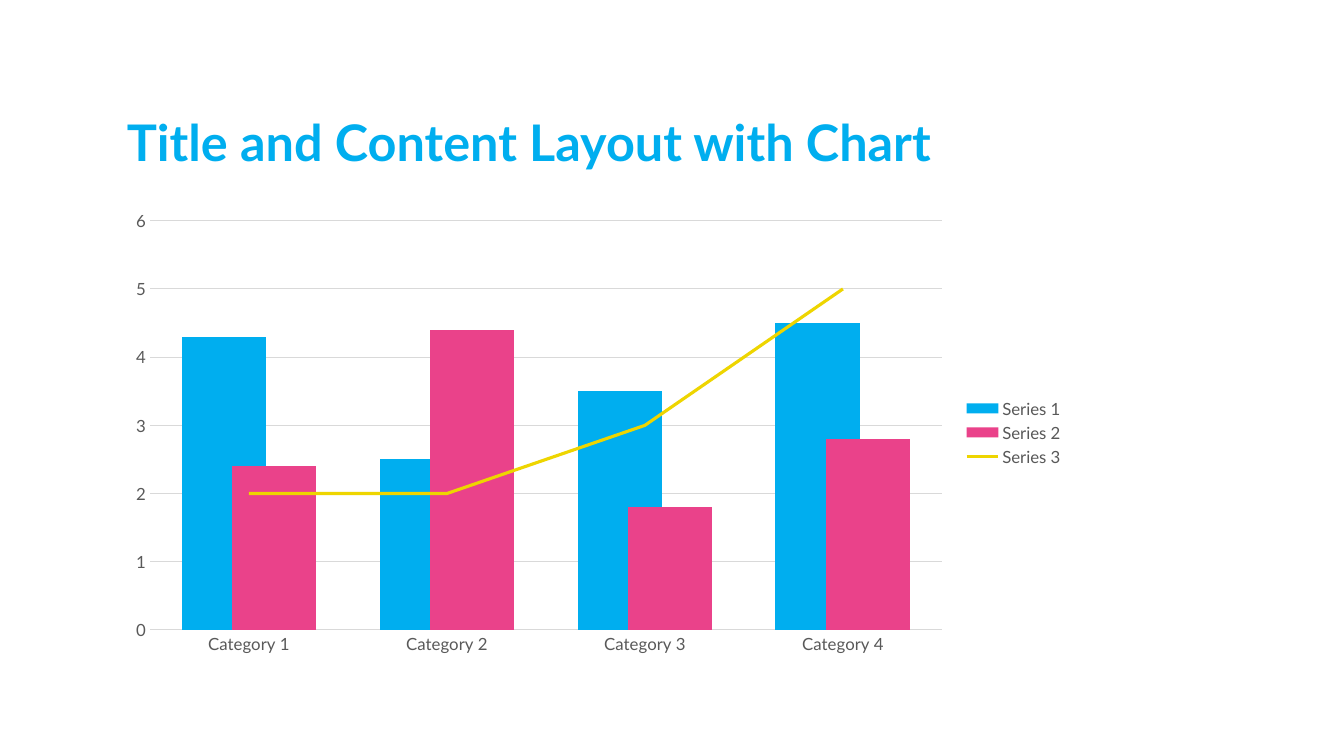
import lxml.etree
import pptx
import pptx.chart.data
import pptx.dml.color
import pptx.enum.chart
import pptx.enum.text
import pptx.oxml.ns
import pptx.util
from pptx.util import Cm

BLUE = pptx.dml.color.RGBColor(0x00, 0xAE, 0xEF)
PINK = pptx.dml.color.RGBColor(0xEA, 0x42, 0x8A)
YELLOW = pptx.dml.color.RGBColor(0xEE, 0xD5, 0x00)
LABEL_GRAY = pptx.dml.color.RGBColor(0x59, 0x59, 0x59)
GRID_GRAY = pptx.dml.color.RGBColor(0xD9, 0xD9, 0xD9)

CATEGORIES = ["Category 1", "Category 2", "Category 3", "Category 4"]
BARS = [
    ("Series 1", (4.3, 2.5, 3.5, 4.5), BLUE),
    ("Series 2", (2.4, 4.4, 1.8, 2.8), PINK),
]
TREND = ("Series 3", (2, 2, 3, 5), YELLOW)


class SlideBuilder:
    """Holds the slide and its text style."""

    def __init__(self, slide, font_name="Lato"):
        self.slide = slide
        self.font_name = font_name

    def style_font(self, font, size, color, bold=False):
        font.name = self.font_name
        font.size = pptx.util.Pt(size)
        font.bold = bold
        font.color.rgb = color

    def style_line(self, line, color, width):
        line.color.rgb = color
        line.width = pptx.util.Pt(width)

    def title(self, text, left, top, width, height):
        frame = self.slide.shapes.add_textbox(left, top, width, height).text_frame
        frame.word_wrap = True
        frame.vertical_anchor = pptx.enum.text.MSO_ANCHOR.BOTTOM
        heading = frame.paragraphs[0]
        heading.text = text
        heading.line_spacing = 0.8
        self.style_font(heading.font, 36, BLUE, bold=True)

    def combo_chart(self, categories, bars, trend, left, top, width, height):
        data = pptx.chart.data.CategoryChartData()
        data.categories = categories
        for name, values, _ in [*bars, trend]:
            data.add_series(name, values)
        chart = self.slide.shapes.add_chart(
            pptx.enum.chart.XL_CHART_TYPE.COLUMN_CLUSTERED,
            left, top, width, height, data).chart
        chart.has_title = False
        self.style_font(chart.font, 12, LABEL_GRAY)

        # Columns
        columns = chart.plots[0]
        columns.gap_width = 75
        columns.overlap = 40
        columns.vary_by_categories = False
        for series, (_, _, color) in zip(columns.series, bars):
            series.format.fill.solid()
            series.format.fill.fore_color.rgb = color

        # Last series as a line on the same axes
        self.move_last_series_to_line(chart)
        line_plot = chart.plots[1]
        line_plot.vary_by_categories = False
        line_series = line_plot.series[0]
        line_series.smooth = False
        line_series.marker.style = pptx.enum.chart.XL_MARKER_STYLE.NONE
        self.style_line(line_series.format.line, trend[2], 2.25)

        # Axes and gridlines
        for axis in (chart.category_axis, chart.value_axis):
            axis.major_tick_mark = pptx.enum.chart.XL_TICK_MARK.NONE
            axis.minor_tick_mark = pptx.enum.chart.XL_TICK_MARK.NONE
            self.style_font(axis.tick_labels.font, 12, LABEL_GRAY)
        self.style_line(chart.category_axis.format.line, GRID_GRAY, 0.75)
        chart.value_axis.format.line.fill.background()
        chart.value_axis.has_major_gridlines = True
        self.style_line(chart.value_axis.major_gridlines.format.line, GRID_GRAY, 0.75)

        # Legend
        chart.has_legend = True
        chart.legend.position = pptx.enum.chart.XL_LEGEND_POSITION.RIGHT
        chart.legend.include_in_layout = False
        self.style_font(chart.legend.font, 12, LABEL_GRAY)

    def move_last_series_to_line(self, chart):
        qn = pptx.oxml.ns.qn
        bar_chart = next(chart.element.iter(qn("c:barChart")))
        series = bar_chart.findall(qn("c:ser"))[-1]
        for bar_only in series.findall(qn("c:invertIfNegative")):
            series.remove(bar_only)
        line_chart = bar_chart.makeelement(qn("c:lineChart"))
        lxml.etree.SubElement(line_chart, qn("c:grouping"), val="standard")
        line_chart.append(series)
        lxml.etree.SubElement(line_chart, qn("c:marker"), val="1")
        for axis_id in bar_chart.findall(qn("c:axId")):
            lxml.etree.SubElement(line_chart, qn("c:axId"), val=axis_id.get("val"))
        bar_chart.addnext(line_chart)


def main():
    presentation = pptx.Presentation()
    presentation.slide_width = Cm(33.87)
    presentation.slide_height = Cm(19.05)
    builder = SlideBuilder(presentation.slides.add_slide(presentation.slide_layouts[6]))

    left, width = Cm(2.95), Cm(24.13)
    builder.title("Title and Content Layout with Chart", left, Cm(1.47), width, Cm(2.97))
    builder.combo_chart(CATEGORIES, BARS, TREND, left, Cm(5.08), width, Cm(11.63))

    presentation.save("out.pptx")


if __name__ == "__main__":
    main()
